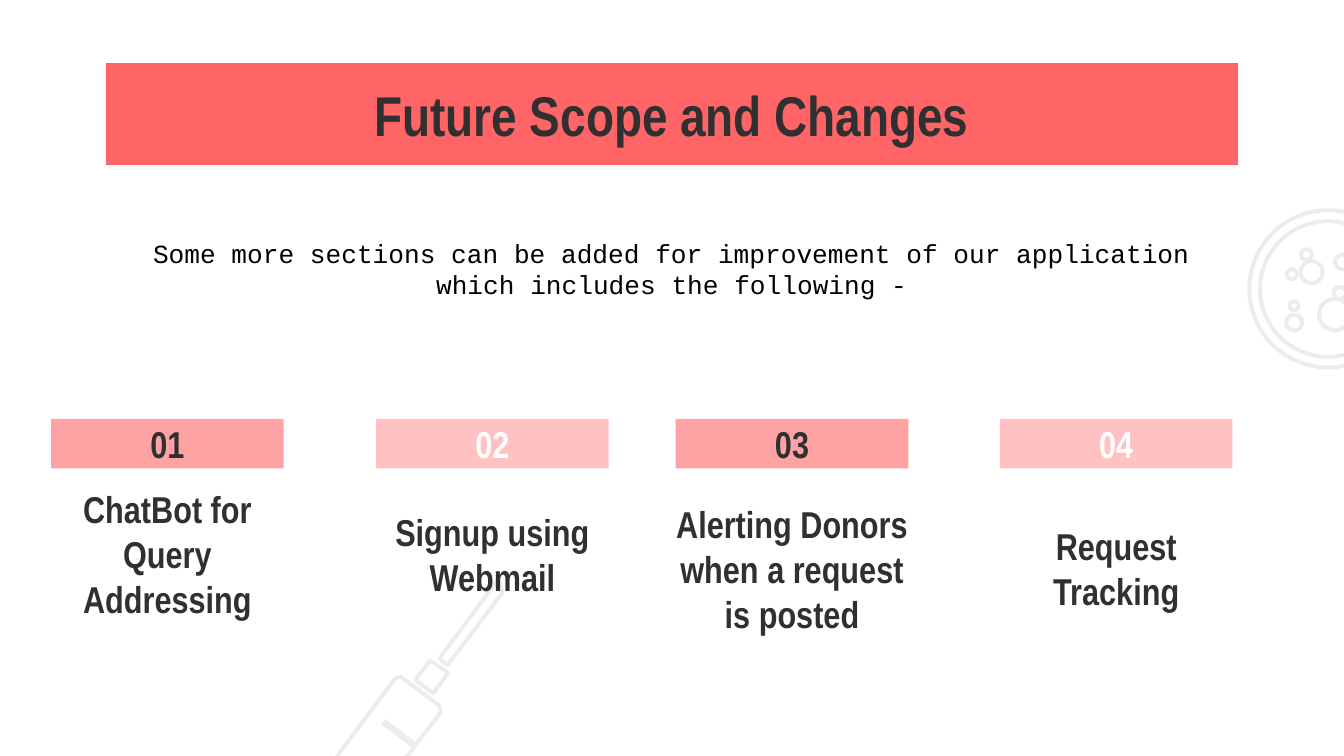
from pptx import Presentation
from pptx.dml.color import RGBColor
from pptx.enum.shapes import MSO_CONNECTOR, MSO_SHAPE
from pptx.enum.text import MSO_ANCHOR, PP_ALIGN
from pptx.oxml.ns import qn
from pptx.util import Pt

CORAL = RGBColor(0xFF, 0x65, 0x66)
SALMON = RGBColor(0xFF, 0xA2, 0xA3)
PINK = RGBColor(0xFF, 0xC1, 0xC1)
DARK = RGBColor(0x30, 0x30, 0x30)
WHITE = RGBColor(0xFF, 0xFF, 0xFF)
BLACK = RGBColor(0, 0, 0)
GREY = RGBColor(0xEC, 0xEC, 0xEC)

deck = Presentation()
deck.slide_width, deck.slide_height = Pt(720), Pt(405)
slide = deck.slides.add_slide(deck.slide_layouts[6])
shapes = slide.shapes


def sketch(shape):
    """Show the shape as a thin grey outline."""
    shape.shadow.inherit = False
    shape.fill.background()
    shape.line.color.rgb = GREY
    shape.line.width = Pt(2.1)


def label(text, box, size, ink, fill=None, face="Arial Narrow", bold=True):
    """Add centred text, on a filled rectangle if a fill is given."""
    place = [Pt(v) for v in box]
    if fill is None:
        shape = shapes.add_textbox(*place)
    else:
        shape = shapes.add_shape(MSO_SHAPE.RECTANGLE, *place)
        shape.shadow.inherit = False
        shape.fill.solid()
        shape.fill.fore_color.rgb = fill
        shape.line.fill.background()
    frame = shape.text_frame
    frame.word_wrap = True
    frame.vertical_anchor = MSO_ANCHOR.MIDDLE
    for side in ("left", "top", "right", "bottom"):
        setattr(frame, f"margin_{side}", Pt(7.2))
    para = frame.paragraphs[0]
    para.alignment = PP_ALIGN.CENTER
    run = para.add_run()
    run.text = text
    run.font.color.rgb = ink
    looks = {"name": face, "size": Pt(size), "bold": bold}
    for key, value in looks.items():
        setattr(run.font, key, value)


# Syringe: needle, hub and barrel
syringe = [
    [(267.1, 310.3), (269.3, 317.5), (239.8, 356.4), (235.4, 352.8)],
    [(230.4, 354), (240.2, 360.4), (232.2, 371.5), (222.5, 364.3)],
    [(211.7, 363.6), (214.6, 362.5), (235.4, 378), (236.2, 381.6),
     (175, 461.5), (172, 463), (152.6, 447.8), (152, 443.5)],
]
for part in syringe:
    points = [(Pt(x), Pt(y)) for x, y in part]
    pen = shapes.build_freeform(*points[0])
    pen.add_line_segments(points[1:], close=True)
    sketch(pen.convert_to_shape())

tick = shapes.add_connector(MSO_CONNECTOR.STRAIGHT,
                            Pt(205.2), Pt(386.6), Pt(222.5), Pt(399.6))
tick.line.color.rgb = GREY
tick.line.width = Pt(3.5)
props = tick._element.spPr
props.append(props.makeelement(qn("a:effectLst"), {}))

# Petri dish: two rims, then bubbles, as centre and diameter
dish = [
    (711.4, 154.8, 84.2), (711.4, 154.8, 72.7),
    (719.3, 140.4, 8), (717.8, 157, 6.7), (715, 168.5, 16.8),
    (702.7, 145.8, 11.8), (699.8, 136.4, 5.8), (693.3, 172.8, 8.7),
    (693.3, 163.8, 4.8), (692, 146.9, 5.4),
]
for x, y, size in dish:
    sketch(shapes.add_shape(MSO_SHAPE.OVAL, Pt(x - size / 2), Pt(y - size / 2),
                            Pt(size), Pt(size)))

label("Future Scope and Changes", (56.7, 33.8, 606.6, 54.6), 30, DARK, CORAL)
label("Some more sections can be added for improvement of our application "
      "which includes the following -",
      (72.7, 108.7, 574.6, 70.6), 14, BLACK, face="Courier New", bold=False)

# Cards: left edge, text top, text height, text
cards = [
    (27.4, 261.4, 70.6, "ChatBot for Query Addressing"),
    (201.5, 269.3, 54.7, "Signup using Webmail"),
    (362, 269.3, 70.6, "Alerting Donors when a request is posted"),
    (535.7, 277.2, 54.7, "Request Tracking"),
]
for num, (left, top, high, text) in enumerate(cards, 1):
    ink, fill = (DARK, SALMON) if num % 2 else (WHITE, PINK)
    label(text, (left - 10, top, 144.6, high), 20, DARK)
    label(f"{num:02}", (left, 224.4, 124.6, 26.5), 20, ink, fill)

deck.save("out.pptx")
